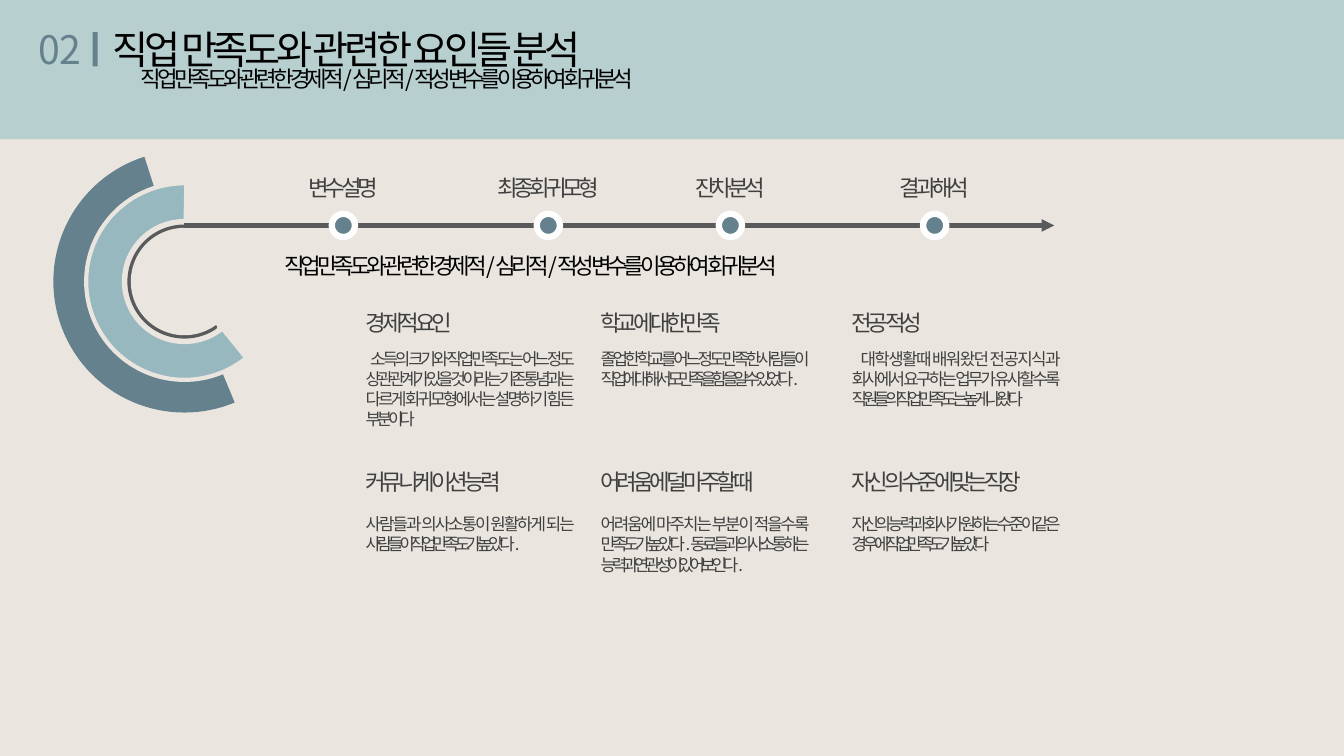
import dataclasses

import lxml.etree
import pptx
import pptx.dml.color
import pptx.enum.shapes
import pptx.enum.text
import pptx.oxml.ns
import pptx.util

SHAPE = pptx.enum.shapes.MSO_SHAPE
ALIGN = pptx.enum.text.PP_ALIGN
qn = pptx.oxml.ns.qn

# The slide is a grid of 40 columns by 22.5 rows, each a third of an inch
COLUMNS, ROWS = 40, 22.5


@dataclasses.dataclass(frozen=True)
class Theme:
    paper: str = "EAE6DF"
    banner: str = "B7CFCE"
    slate: str = "64818D"
    mist: str = "97B8BF"
    pale: str = "F4F4F4"
    white: str = "FEFEFE"
    axis: str = "595A5C"
    ink: str = "000000"
    text: str = "404040"
    font: str = "Noto Sans CJK KR"
    title: int = 28
    heading: int = 16
    body: int = 12
    tracking: int = -3
    stroke: float = 3
    dot_stroke: float = 4.5


THEME = Theme()
SUBTITLE = "직업 만족도와 관련한 경제적/심리적/적성 변수를 이용하여 회귀분석"

# Timeline: centre column, label width, label
AXIS_ROW = 6.71
STEPS = [
    (10.22, 3.48, "변수설명"),
    (16.32, 4.08, "최종회귀모형"),
    (21.74, 3.48, "잔차 분석"),
    (27.82, 3.48, "결과해석"),
]

# Factors: heading row, body row, then heading, heading width, body,
# body height and first-line indent for each column
FACTOR_COLUMNS = (10.59, 17.58, 25.05)
FACTORS = [
    (9.06, 10.23, [
        ("경제적 요인", 4.74, "소득의 크기와 직업만족도는 어느정도 상관관계가 있을 것이라는 "
         "기존 통념과는 다르게 회귀모형에서는 설명하기 힘든 부분이다", 2.73, 0.13),
        ("학교에 대한 만족", 5.1, "졸업한 학교를 어느정도 만족한 사람들이 "
         "직업에 대해서도 만족을 함을 알 수 있었다.", 2.13, 0),
        ("전공 적성", 4.47, "대학생활때 배워왔던 전공지식과 회사에서 요구하는 업무가 "
         "유사할수록 직원들의 직업만족도는 높게 나왔다", 2.13, 0.27),
    ]),
    (13.8, 15.15, [
        ("커뮤니케이션 능력", 5.1, "사람들과 의사소통이 원활하게 되는 사람들이 "
         "직업 만족도가 높았다.", 1.5, 0),
        ("어려움에 덜 마주할 때", 6.33, "어려움에 마주치는 부분이 적을수록 만족도가 높았다. "
         "동료들과 의사소통 하는 능력과 연관성이 있어 보인다.", 2.13, 0),
        ("자신의 수준에 맞는 직장", 8.43, "자신의 능력과 회사가 원하는 수준이 같은 경우에 "
         "직업 만족도가 높았다", 1.5, 0),
    ]),
]

# Arcs: preset, diameter, (start, end) degrees, fill, line
ARC_CENTRE = (5.49, 8.38)
ARCS = [
    (SHAPE.PIE, 7.8, (67.42, 252.23), THEME.slate, None),
    (SHAPE.PIE, 5.85, (50.99, 271.11), THEME.mist, THEME.paper),
    (SHAPE.OVAL, 3.6, (), THEME.paper, THEME.paper),
    (SHAPE.PIE, 3.27, (56.19, 270), THEME.pale, THEME.axis),
    (SHAPE.OVAL, 3.07, (), THEME.paper, THEME.paper),
]


def grid(cells):
    return pptx.util.Inches(cells / 3)


def colour(code):
    return pptx.dml.color.RGBColor.from_string(code)


def add_figure(shapes, preset, box, fill, line=None, width=THEME.stroke):
    figure = shapes.add_shape(preset, *map(grid, box))
    figure.shadow.inherit = False
    figure.fill.solid()
    figure.fill.fore_color.rgb = colour(fill)
    if line:
        figure.line.color.rgb = colour(line)
        figure.line.width = pptx.util.Pt(width)
    else:
        figure.line.fill.background()
    return figure


def add_disc(shapes, preset, centre, diameter, fill, line, width=THEME.stroke):
    left, top = (middle - diameter / 2 for middle in centre)
    return add_figure(shapes, preset, (left, top, diameter, diameter), fill, line, width)


def write(box, text, size, ink, align=ALIGN.LEFT, tracking=THEME.tracking, indent=0):
    frame = box.text_frame
    frame.text = text
    frame.word_wrap = True
    frame.auto_size = pptx.enum.text.MSO_AUTO_SIZE.SHAPE_TO_FIT_TEXT
    frame.vertical_anchor = pptx.enum.text.MSO_ANCHOR.TOP
    para = frame.paragraphs[0]
    para.alignment = align
    if indent:
        para._p.get_or_add_pPr().set("indent", str(grid(indent)))
    span = para.runs[0]
    span.font.name = THEME.font
    span.font.size = pptx.util.Pt(size)
    span.font.color.rgb = colour(ink)
    # Letter spacing and the East Asian typeface
    properties = span._r.get_or_add_rPr()
    if tracking:
        properties.set("spc", str(tracking * 100))
    latin = properties.find(qn("a:latin"))
    east_asian = lxml.etree.Element(qn("a:ea"), typeface=THEME.font)
    latin.addnext(east_asian)


def add_text(page, box, text, size=THEME.heading, ink=THEME.text, **style):
    write(page.shapes.add_textbox(*map(grid, box)), text, size, ink, **style)


def add_header(page):
    title = page.shapes.title
    title.left, title.top, title.width, title.height = map(grid, (3.06, 0.6, 22.74, 1.71))
    write(title, "직업 만족도와 관련한 요인들 분석", THEME.title, THEME.ink)
    banner = add_figure(page.shapes, SHAPE.RECTANGLE, (0, 0, COLUMNS, 4.14), THEME.banner)
    title.element.addprevious(banner.element)
    add_text(page, (0.84, 0.6, 2.22, 1.71), "02", THEME.title, THEME.slate, tracking=0)
    add_figure(page.shapes, SHAPE.RECTANGLE, (2.76, 0.96, 0.15, 1.02), THEME.slate)
    for left, top in ((3.9, 1.8), (8.16, 7.35)):
        add_text(page, (left, top, 20, 1.11), SUBTITLE, ink=THEME.ink)


def add_arcs(page):
    group = page.shapes.add_group_shape()
    for preset, diameter, angles, fill, line in ARCS:
        disc = add_disc(group.shapes, preset, ARC_CENTRE, diameter, fill, line)
        for index, degrees in enumerate(angles):
            disc.adjustments[index] = degrees * 0.6


def add_timeline(page):
    ends = map(grid, (ARC_CENTRE[0], AXIS_ROW, 31.38, AXIS_ROW))
    axis = page.shapes.add_connector(pptx.enum.shapes.MSO_CONNECTOR.STRAIGHT, *ends)
    axis.line.color.rgb = colour(THEME.axis)
    axis.line.width = pptx.util.Pt(THEME.stroke)
    # Arrowhead, and no shadow
    lxml.etree.SubElement(axis.line._get_or_add_ln(), qn("a:tailEnd"), type="triangle")
    lxml.etree.SubElement(axis.element.spPr, qn("a:effectLst"))
    for centre, width, label in STEPS:
        add_disc(page.shapes, SHAPE.OVAL, (centre, AXIS_ROW), 0.69,
                 THEME.slate, THEME.white, THEME.dot_stroke)
        add_text(page, (centre - width / 2, 5.04, width, 1.11), label, align=ALIGN.CENTER)


def add_factors(page):
    for heading_row, body_row, factors in FACTORS:
        for left, factor in zip(FACTOR_COLUMNS, factors):
            heading, width, body, height, indent = factor
            add_text(page, (left, heading_row, width, 1.11), heading)
            add_text(page, (left, body_row, 6.69, height), body, THEME.body,
                     align=ALIGN.JUSTIFY, indent=indent)


def main():
    deck = pptx.Presentation()
    deck.slide_width, deck.slide_height = grid(COLUMNS), grid(ROWS)
    page = deck.slides.add_slide(deck.slide_layouts[5])
    page.background.fill.solid()
    page.background.fill.fore_color.rgb = colour(THEME.paper)
    add_header(page)
    add_arcs(page)
    add_timeline(page)
    add_factors(page)
    deck.save("out.pptx")


if __name__ == "__main__":
    main()
